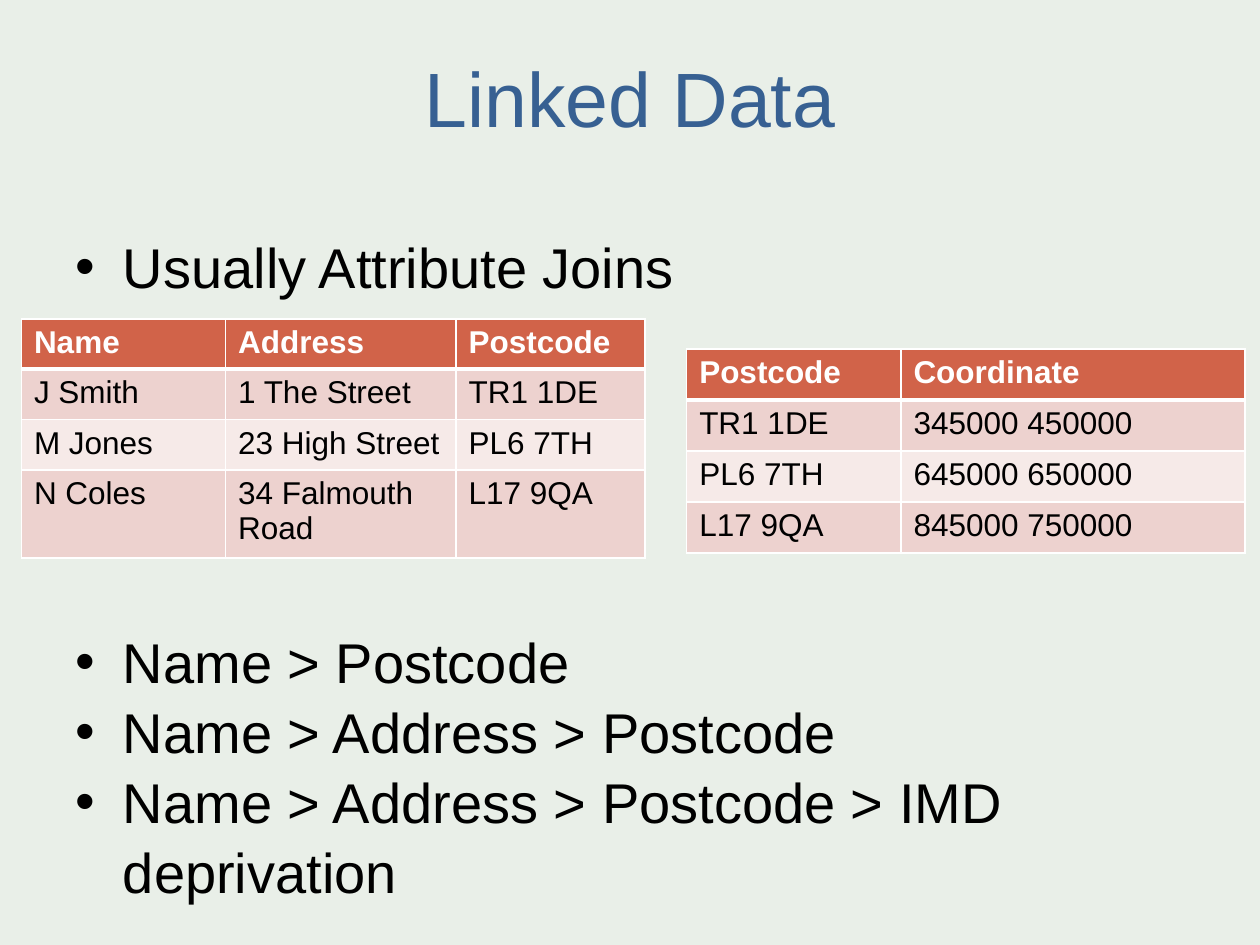
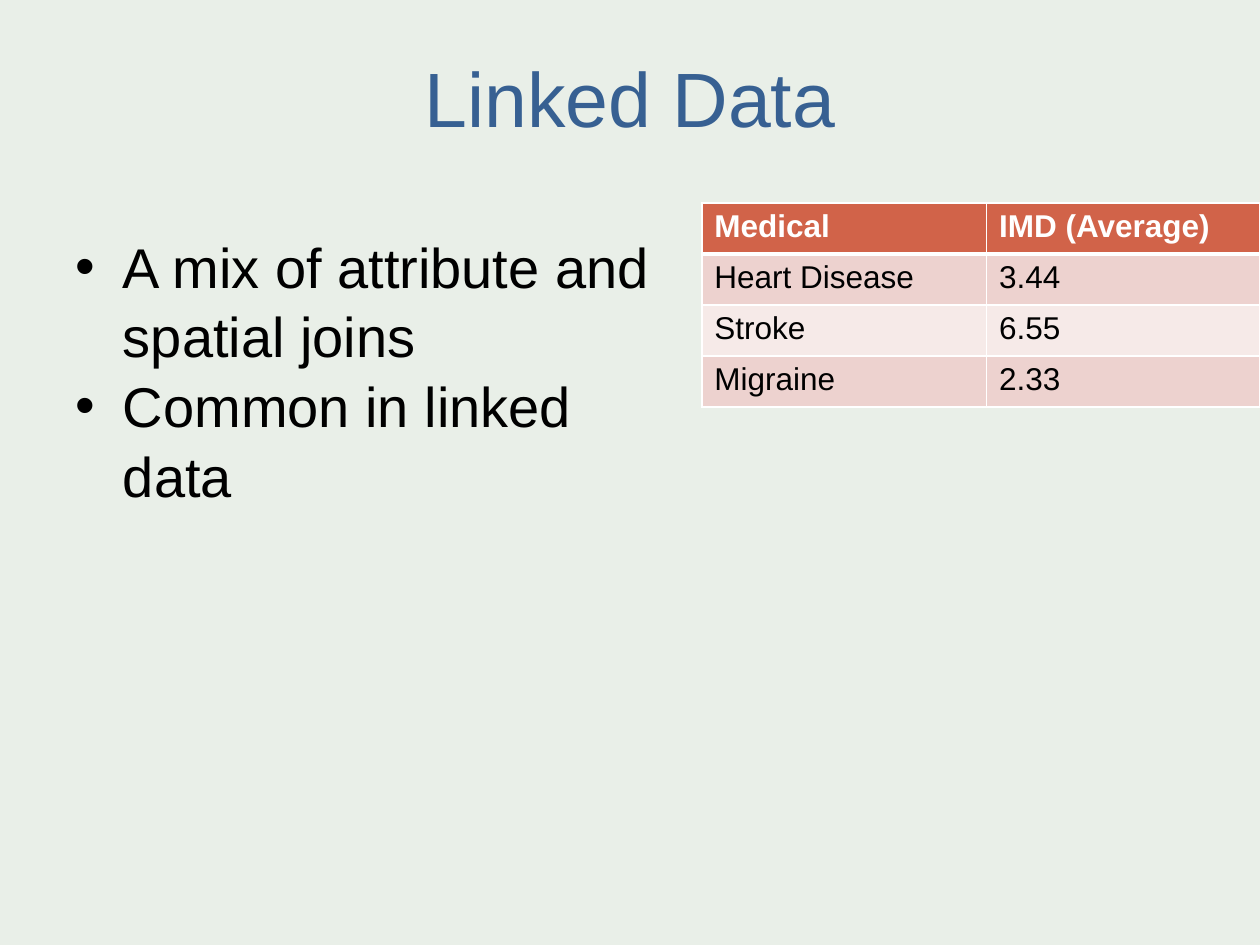
import lxml.etree
import pptx
import pptx.dml.color
import pptx.enum.text
import pptx.oxml.ns
import pptx.util

Inches = pptx.util.Inches
Pt = pptx.util.Pt

FONT = "Arial"
BACKGROUND, TITLE_BLUE, BLACK, WHITE = "E9EFE8", "376092", "000000", "FFFFFF"
HEADER_RED, BAND_DARK, BAND_LIGHT = "D16349", "EDD2CF", "F6EAE8"
HAIRLINE, HEADER_RULE = 0.96, 3


def paint(colour_format, hex_colour):
    """Set a fill or font colour from a hex string."""
    if hasattr(colour_format, "solid"):
        colour_format.solid()
        colour_format = colour_format.fore_color
    colour_format.rgb = pptx.dml.color.RGBColor.from_string(hex_colour)


def style_paragraph(paragraph, size, colour, bold=False):
    """Give a paragraph its font."""
    font = paragraph.font
    font.name, font.size, font.bold = FONT, Pt(size), bold
    paint(font.color, colour)


def place_placeholder(placeholder, box, top_inset):
    """Move a placeholder to its box and start its text at the top."""
    placeholder.left, placeholder.top, placeholder.width, placeholder.height = map(Inches, box)
    frame = placeholder.text_frame
    frame.auto_size = pptx.enum.text.MSO_AUTO_SIZE.NONE
    frame.vertical_anchor = pptx.enum.text.MSO_ANCHOR.TOP
    frame.margin_top = Inches(top_inset)
    return frame


def add_linked_data_slide(deck, points, points_width, gap_after_first=0):
    """Add a slide with the shared title and a bulleted list."""
    slide = deck.slides.add_slide(deck.slide_layouts[1])
    heading = place_placeholder(slide.shapes.title, (0.5, 0.3, 9, 1.25), 0.1)
    heading.text = "Linked Data"
    heading.paragraphs[0].alignment = pptx.enum.text.PP_ALIGN.CENTER
    style_paragraph(heading.paragraphs[0], 44, TITLE_BLUE)

    point_list = place_placeholder(slide.placeholders[1], (0.5, 1.75, points_width, 4.95), 0.07)
    point_list.text = "\n".join(points)
    for index, point in enumerate(point_list.paragraphs):
        point.space_before = Pt(gap_after_first if index == 1 else 0)
        point.line_spacing = 1.04
        style_paragraph(point, 32, BLACK)
    return slide


def add_border(cell, side, width):
    """Draw a white line on one side of a cell."""
    qn = pptx.oxml.ns.qn
    properties = cell._tc.get_or_add_tcPr()
    line = lxml.etree.SubElement(properties, qn(f"a:ln{side}"), w=str(Pt(width)))
    solid = lxml.etree.SubElement(line, qn("a:solidFill"))
    lxml.etree.SubElement(solid, qn("a:srgbClr"), val=WHITE)


def add_records(slide, box, column_widths, records, last_row_extra=0):
    """Add a table with a red header and banded rows."""
    left, top, width, height = box
    table = slide.shapes.add_table(
        len(records), len(column_widths), *map(Inches, (left, top, width, height))).table
    for column, column_width in zip(table.columns, column_widths):
        column.width = Inches(column_width)
    row_height = (height - last_row_extra) / len(records)
    for row in table.rows:
        row.height = Inches(row_height)
    table.rows[len(records) - 1].height = Inches(row_height + last_row_extra)

    for row_index, record in enumerate(records):
        is_header = row_index == 0
        band = HEADER_RED if is_header else (BAND_LIGHT, BAND_DARK)[row_index % 2]
        borders = {
            "L": HAIRLINE,
            "R": HAIRLINE,
            "T": HEADER_RULE if row_index == 1 else HAIRLINE,
            "B": HEADER_RULE if is_header else HAIRLINE,
        }
        for column_index, value in enumerate(record):
            cell = table.cell(row_index, column_index)
            cell.text = value
            for side, line_width in borders.items():
                add_border(cell, side, line_width)
            paint(cell.fill, band)
            style_paragraph(cell.text_frame.paragraphs[0], 18,
                            WHITE if is_header else BLACK, is_header)


def add_attribute_joins(deck):
    """Show two tables joined by postcode."""
    slide = add_linked_data_slide(deck, [
        "Usually Attribute Joins",
        "Name > Postcode",
        "Name > Address > Postcode",
        "Name > Address > Postcode > IMD deprivation",
    ], 9, gap_after_first=186)
    add_records(slide, (0.17, 2.53, 4.95, 1.9), (1.62, 1.83, 1.5), [
        ("Name", "Address", "Postcode"),
        ("J Smith", "1 The Street", "TR1 1DE"),
        ("M Jones", "23 High Street", "PL6 7TH"),
        ("N Coles", "34 Falmouth Road", "L17 9QA"),
    ], last_row_extra=0.3)
    add_records(slide, (5.45, 2.77, 4.43, 1.62), (1.7, 2.73), [
        ("Postcode", "Coordinate"),
        ("TR1 1DE", "345000 450000"),
        ("PL6 7TH", "645000 650000"),
        ("L17 9QA", "845000 750000"),
    ])


def add_mixed_joins(deck):
    """Show the outcome of attribute and spatial joins."""
    slide = add_linked_data_slide(deck, [
        "A mix of attribute and spatial joins",
        "Common in linked data",
    ], 5.07)
    add_records(slide, (5.57, 1.61, 4.43, 1.62), (2.26, 2.17), [
        ("Medical", "IMD (Average)"),
        ("Heart Disease", "3.44"),
        ("Stroke", "6.55"),
        ("Migraine", "2.33"),
    ])


def main():
    """Build and save the deck."""
    deck = pptx.Presentation()
    deck.slide_width, deck.slide_height = Inches(10), Inches(7.5)
    paint(deck.slide_master.background.fill, BACKGROUND)
    add_attribute_joins(deck)
    add_mixed_joins(deck)
    deck.save("out.pptx")


if __name__ == "__main__":
    main()
